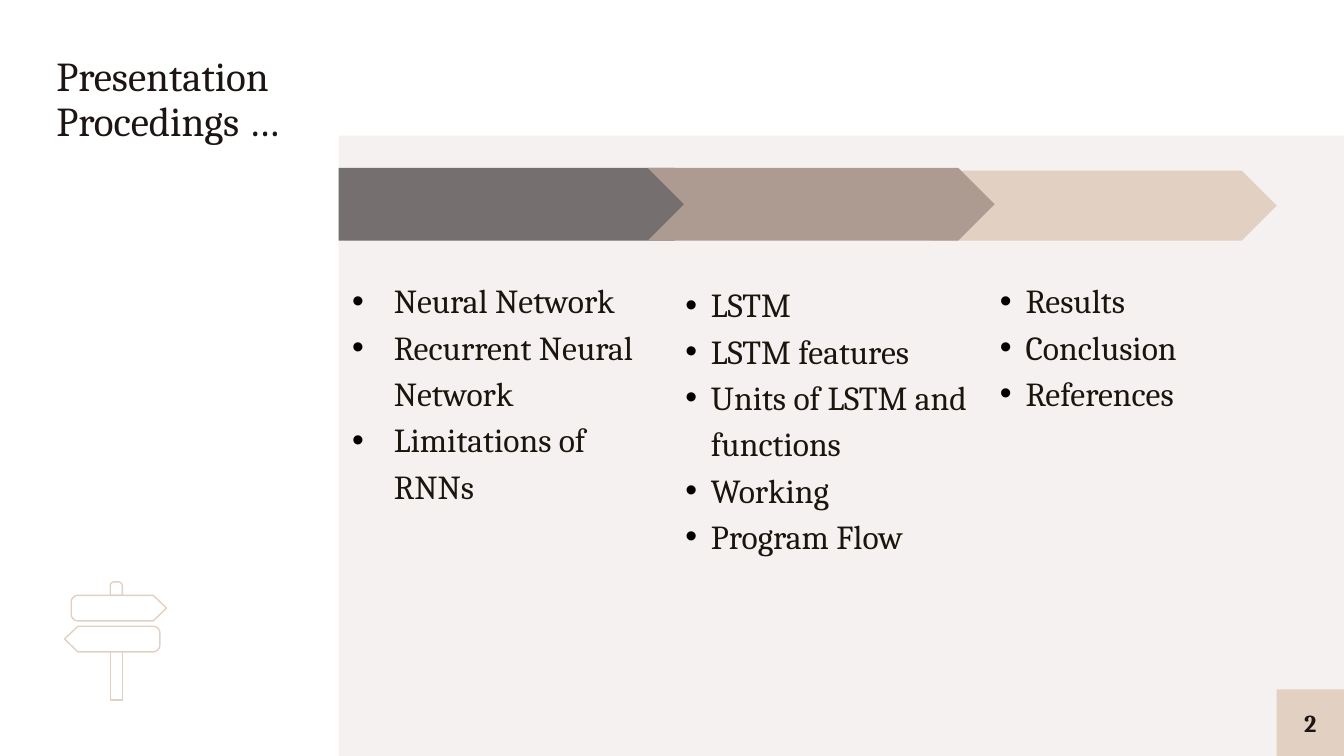
from math import cos, pi, sin

from lxml.etree import SubElement
from pptx import Presentation
from pptx.dml.color import RGBColor
from pptx.enum.shapes import MSO_SHAPE
from pptx.enum.text import MSO_ANCHOR, MSO_AUTO_SIZE, PP_ALIGN
from pptx.oxml.ns import qn
from pptx.util import Inches, Pt

COLORS = {
    "panel": "F5F1F0",
    "sand": "E2D1C2",
    "gray": "756F6F",
    "taupe": "AD9B91",
    "heading": "1D1513",
    "body": "1C150E",
    "bullet": "000000",
}
FONT = "Cambria"
COMPARISON_LAYOUT = 4


def color(name):
    return RGBColor.from_string(COLORS[name])


def write_text(frame, lines, size, ink, bold=False, align=PP_ALIGN.LEFT,
               spacing=1.0, inset=0, anchor=MSO_ANCHOR.TOP, indent=None):
    frame.word_wrap = True
    frame.auto_size = MSO_AUTO_SIZE.NONE
    frame.vertical_anchor = anchor
    frame.margin_left = frame.margin_right = Inches(inset)
    frame.margin_top = frame.margin_bottom = Inches(inset)
    for index, line in enumerate(lines):
        paragraph = frame.add_paragraph() if index else frame.paragraphs[0]
        paragraph.text = line
        paragraph.alignment = align
        paragraph.line_spacing = spacing
        paragraph.space_before = paragraph.space_after = Pt(0)
        for run in paragraph.runs:
            run.font.name = FONT
            run.font.size = Pt(size)
            run.font.bold = bold
            run.font.color.rgb = color(ink)
        for line_break in paragraph._p.findall(qn("a:br")):
            SubElement(line_break, qn("a:rPr"), sz=str(size * 100))
        if indent:
            add_bullet(paragraph, indent)


def add_bullet(paragraph, indent):
    properties = paragraph._p.get_or_add_pPr()
    properties.set("marL", str(Inches(indent)))
    properties.set("indent", str(-Inches(indent)))
    bullet_color = SubElement(properties, qn("a:buClr"))
    SubElement(bullet_color, qn("a:srgbClr"), val=COLORS["bullet"])
    SubElement(properties, qn("a:buFont"), typeface="Arial")
    SubElement(properties, qn("a:buChar"), char="•")


def corner(center_x, center_y, radius, start):
    angles = [(start + step * 15) * pi / 180 for step in range(7)]
    return [(center_x + radius * cos(a), center_y + radius * sin(a)) for a in angles]


class SlideBuilder:
    def __init__(self, presentation):
        self.slide = presentation.slides.add_slide(
            presentation.slide_layouts[COMPARISON_LAYOUT])
        self.shapes = self.slide.shapes
        self.bodies = [p for p in self.slide.placeholders if p.placeholder_format.idx]

    def block(self, kind, left, top, width, height, fill):
        shape = self.shapes.add_shape(
            kind, Inches(left), Inches(top), Inches(width), Inches(height))
        shape.shadow.inherit = False
        shape.fill.solid()
        shape.fill.fore_color.rgb = color(fill)
        shape.line.fill.background()
        return shape

    def outline(self, points):
        corners = [(Inches(x), Inches(y)) for x, y in points]
        builder = self.shapes.build_freeform(*corners[0])
        builder.add_line_segments(corners[1:], close=True)
        shape = builder.convert_to_shape()
        shape.shadow.inherit = False
        shape.fill.background()
        shape.line.color.rgb = color("sand")
        shape.line.width = Pt(0.75)

    def sign(self, left, top, pointing_left=False):
        width, height, tip, radius = 0.71, 0.19, 0.1, 0.05
        points = [(width - tip, 0), (width, height / 2), (width - tip, height)]
        points += corner(radius, height - radius, radius, 90)
        points += corner(radius, radius, radius, 180)
        if pointing_left:
            points = [(width - x, y) for x, y in points]
        self.outline([(left + x, top + y) for x, y in points])

    def signpost(self):
        left, right, top, radius = 0.82, 0.91, 4.33, 0.03
        self.sign(0.53, 4.43)
        self.sign(0.48, 4.66, pointing_left=True)
        self.outline([(right, 4.43), (left, 4.43)]
                     + corner(left + radius, top + radius, radius, 180)
                     + corner(right - radius, top + radius, radius, 270))
        self.outline([(left, 4.85), (left, 5.21), (right, 5.21), (right, 4.85)])

    def place(self, placeholder, left, top, width, height):
        placeholder.left, placeholder.top = Inches(left), Inches(top)
        placeholder.width, placeholder.height = Inches(width), Inches(height)
        self.shapes.element.append(placeholder.element)
        return placeholder.text_frame

    def title(self, text, *box):
        frame = self.place(self.shapes.title, *box)
        write_text(frame, [text], 22, "heading", spacing=0.9)

    def bullets(self, lines, *box, indent):
        frame = self.place(self.bodies.pop(0), *box)
        write_text(frame, lines, 18, "body", spacing=1.15, inset=0.1, indent=indent)

    def page_number(self, text):
        shape = self.block(MSO_SHAPE.RECTANGLE, 9.5, 5.13, 0.5, 0.5, "sand")
        write_text(shape.text_frame, [text], 13, "heading", bold=True,
                   align=PP_ALIGN.CENTER, anchor=MSO_ANCHOR.MIDDLE)

    def remove_spare_placeholders(self):
        for placeholder in self.bodies:
            self.shapes.element.remove(placeholder.element)


def main():
    presentation = Presentation()
    presentation.slide_width = Inches(10)
    presentation.slide_height = presentation.slide_width * 9 // 16

    builder = SlideBuilder(presentation)
    builder.block(MSO_SHAPE.RECTANGLE, 2.52, 1.01, 7.48, 4.62, "panel")
    builder.signpost()
    builder.title("Presentation\vProcedings …", 0.42, 0.42, 1.92, 4.23)
    builder.page_number("2")

    builder.block(MSO_SHAPE.CHEVRON, 6.92, 1.27, 2.58, 0.52, "sand")
    builder.bullets(["Results", "Conclusion", "References"],
                    7.34, 1.94, 2.16, 2.04, indent=0.19)

    builder.block(MSO_SHAPE.PENTAGON, 2.52, 1.25, 2.77, 0.54, "gray")
    builder.bullets(["Neural Network", "Recurrent Neural Network", "Limitations of RNNs"],
                    2.52, 1.94, 2.48, 2.04, indent=0.31)

    builder.block(MSO_SHAPE.CHEVRON, 4.82, 1.25, 2.58, 0.54, "taupe")
    builder.bullets(["LSTM", "LSTM features", "Units of LSTM and functions",
                     "Working", "Program Flow"],
                    5, 1.97, 2.34, 2.17, indent=0.19)

    builder.remove_spare_placeholders()
    presentation.save("out.pptx")


if __name__ == "__main__":
    main()
